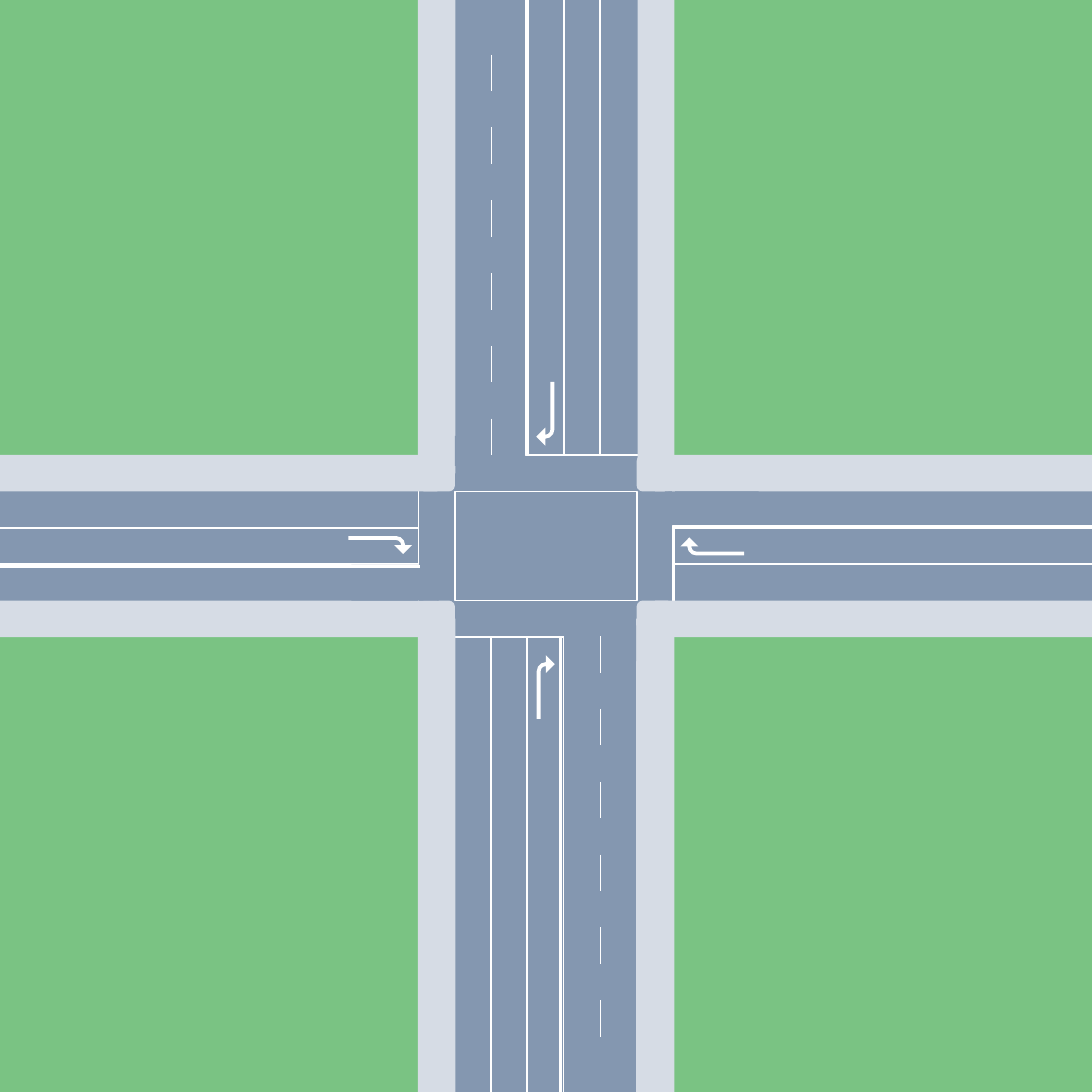
from dataclasses import dataclass

from lxml.etree import SubElement
from pptx import Presentation
from pptx.dml.color import RGBColor
from pptx.enum.shapes import MSO_CONNECTOR, MSO_SHAPE
from pptx.oxml.ns import qn
from pptx.util import Inches, Pt


@dataclass(frozen=True)
class Theme:
    grass: RGBColor = RGBColor.from_string("7AC383")
    road: RGBColor = RGBColor.from_string("8497B0")
    walk: RGBColor = RGBColor.from_string("D6DCE5")
    paint: RGBColor = RGBColor.from_string("FFFFFF")
    thin: float = 2.5
    thick: float = 5


theme = Theme()
SIDE = 23.62
START, END = -0.3, SIDE + 0.3  # roads run a little past the slide edge
WEST, EAST = 9.05, 14.58       # stop lines
NORTH, SOUTH = 9.84, 13.78

prs = Presentation()
prs.slide_width = prs.slide_height = Inches(SIDE)
slide = prs.slides.add_slide(prs.slide_layouts[6])
slide.background.fill.solid()
slide.background.fill.fore_color.rgb = theme.grass


def block(left, top, right, bottom, color, edge=False, kind=MSO_SHAPE.RECTANGLE):
    """Add a filled shape between two corners, edged in road paint if asked."""
    shape = slide.shapes.add_shape(kind, Inches(left), Inches(top),
                                   Inches(right - left), Inches(bottom - top))
    shape.shadow.inherit = False
    shape.fill.solid()
    shape.fill.fore_color.rgb = color
    if edge:
        shape.line.color.rgb = theme.paint
        shape.line.width = Pt(theme.thin)
    else:
        shape.line.fill.background()
    return shape


def stripe(x1, y1, x2, y2, width):
    """Paint a straight line on the road."""
    line = slide.shapes.add_connector(MSO_CONNECTOR.STRAIGHT, Inches(x1), Inches(y1),
                                      Inches(x2), Inches(y2))
    line.line.color.rgb = theme.paint
    line.line.width = Pt(width)
    SubElement(line._element.spPr, qn("a:effectLst"))


# Lanes, with the junction over the ends of those laid first
for top, bottom in ((12.2, 13.17), (10.44, 11.41)):
    block(START, top, WEST, bottom, theme.road, edge=True)
for top, bottom in ((10.44, 11.41), (11.42, 12.2), (12.2, 13.17)):
    block(EAST, top, END, bottom, theme.road, edge=True)
for left, right in ((9.72, 11.42), (11.42, 12.2), (12.2, 13.89)):
    block(left, START, right, NORTH, theme.road, edge=True)
block(WEST, NORTH, 14.56, SOUTH, theme.road, edge=True)
block(9.84, 10.63, 13.78, 12.99, theme.road, edge=True)
block(START, 11.42, WEST, 12.2, theme.road, edge=True)
for left, right in ((9.72, 11.4), (11.4, 12.19), (12.19, 13.85)):
    block(left, SOUTH, right, END, theme.road, edge=True)

# Pavements: rounded corners, then the straight arms
for top in (9.84, 12.99):
    for left in (9.05, 13.77):
        block(left, top, left + 0.79, top + 0.79, theme.walk,
              kind=MSO_SHAPE.ROUNDED_RECTANGLE)
    for left, right in ((START, 9.46), (14.17, END)):
        block(left, top, right, top + 0.79, theme.walk)
for top, bottom, inner in ((START, 10.24, 13.79), (13.38, END, 13.76)):
    block(9.04, top, 9.85, bottom, theme.walk)
    block(inner, top, 14.59, bottom, theme.walk)

# Road patches that open the exit lanes
for left, top, right, bottom in ((9.84, 9.43, 11.36, 10.08), (14.38, 10.63, 16.41, 11.36),
                                 (7.6, 12.22, 9.49, 12.99), (12.2, 13.53, 13.76, 14.3)):
    block(left, top, right, bottom, theme.road)

# Centre lines and lane lines
stripe(11.39, START, 11.39, NORTH, theme.thick)
stripe(12.13, SOUTH, 12.13, END, theme.thick)
stripe(START, 12.25, 9.08, 12.25, theme.thick)
stripe(14.56, 11.38, END, 11.38, theme.thick)
stripe(12.98, START, 12.98, NORTH, theme.thin)
stripe(10.62, SOUTH, 10.62, END, theme.thin)

# Dashes on the exit lanes
for x, first in ((10.63, 1.18), (12.99, 13.76)):
    for step in range(6):
        y = first + step * 1.575
        stripe(x, y, x, y + 0.79, theme.thin)

# Turn arrows
for left, top, angle in ((11.61, 14.17, 0), (15.21, 11.13, 270),
                         (11.6, 8.26, 180), (8.03, 11.1, 90)):
    arrow = block(left, top, left + 0.39, top + 1.38, theme.paint, kind=MSO_SHAPE.BENT_ARROW)
    arrow.rotation = angle
    for index, value in enumerate((0.217, 0.5, 0.5, 0.5)):
        arrow.adjustments[index] = value

prs.save("out.pptx")
